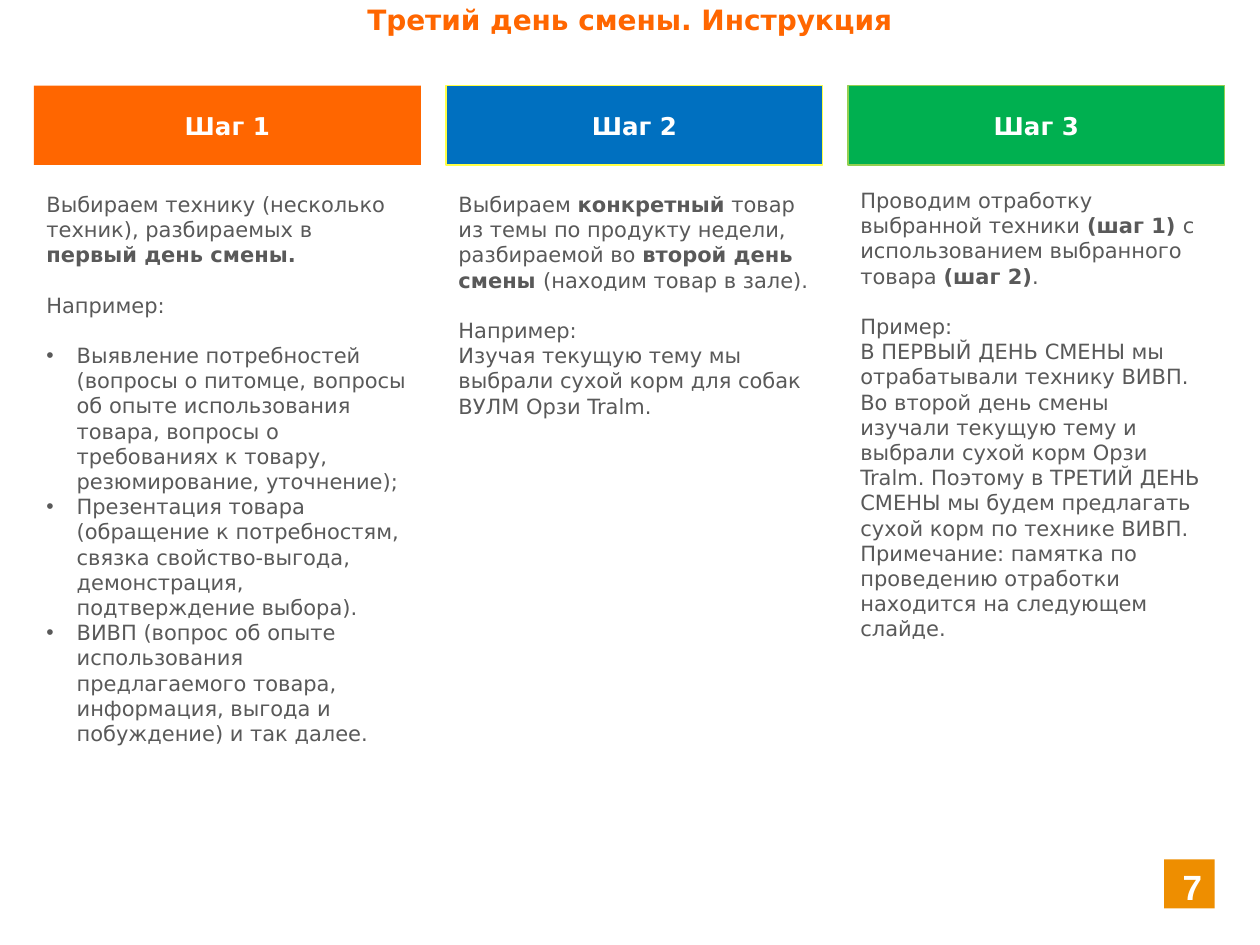
"""Build the three-step instruction slide for the third day of the shift."""
from dataclasses import dataclass

from lxml import etree
from pptx import Presentation
from pptx.dml.color import RGBColor
from pptx.enum.shapes import MSO_SHAPE
from pptx.enum.text import MSO_ANCHOR, PP_ALIGN
from pptx.oxml.ns import qn
from pptx.util import Inches, Pt

RECTANGLE = MSO_SHAPE.RECTANGLE
TOP, MIDDLE = MSO_ANCHOR.TOP, MSO_ANCHOR.MIDDLE
LEFT, CENTER, RIGHT = PP_ALIGN.LEFT, PP_ALIGN.CENTER, PP_ALIGN.RIGHT
COLORS = {
    "orange": "FF6600",
    "blue": "0070C0",
    "green": "00B050",
    "yellow": "FFFF47",
    "lime": "92D050",
    "amber": "EE8E00",
    "white": "FFFFFF",
    "gray": "595959",
}
BODY_FONT, NUMBER_FONT = "DejaVu Sans", "Arial"
HEADER_TOP, HEADER_HEIGHT = 0.68, 0.63
BULLET_INDENT = 0.24
BLANK_LINE = 14.4


@dataclass(frozen=True)
class Box:
    left: float
    top: float
    width: float
    height: float

    def inches(self) -> tuple:
        return tuple(Inches(v) for v in (self.left, self.top, self.width, self.height))


@dataclass(frozen=True)
class Style:
    size: float
    color: str
    bold: bool = True
    font: str = BODY_FONT
    align: PP_ALIGN = CENTER
    anchor: MSO_ANCHOR = TOP


@dataclass(frozen=True)
class Line:
    text: str
    gap: bool = False
    bullet: bool = False


@dataclass(frozen=True)
class Step:
    title: str
    header: Box
    fill: str
    outline: str | None
    body: Box
    lines: tuple[Line, ...]


TITLE_STYLE = Style(16, "orange")
HEADER_STYLE = Style(14, "white", anchor=MIDDLE)
BODY_STYLE = Style(12, "gray", bold=False, align=LEFT)
NUMBER_STYLE = Style(20, "white", font=NUMBER_FONT, align=RIGHT)

STEPS = (
    Step("Шаг 1", Box(0.27, HEADER_TOP, 3.07, HEADER_HEIGHT), "orange", None,
         Box(0.27, 1.47, 3.07, 4.96), (
             Line("Выбираем технику (несколько техник), разбираемых в *первый день смены.*"),
             Line("Например:", gap=True),
             Line("Выявление потребностей (вопросы о питомце, вопросы об опыте использования "
                  "товара, вопросы о требованиях к товару, резюмирование, уточнение);",
                  gap=True, bullet=True),
             Line("Презентация товара (обращение к потребностям, связка свойство-выгода, "
                  "демонстрация, подтверждение выбора).", bullet=True),
             Line("ВИВП (вопрос об опыте использования предлагаемого товара, информация, "
                  "выгода и побуждение) и так далее.", bullet=True))),
    Step("Шаг 2", Box(3.54, HEADER_TOP, 2.99, HEADER_HEIGHT), "blue", "yellow",
         Box(3.54, 1.47, 2.99, 2.99), (
             Line("Выбираем *конкретный* товар из темы по продукту недели, разбираемой во "
                  "*второй день смены *(находим товар в зале)."),
             Line("Например:", gap=True),
             Line("Изучая текущую тему мы выбрали сухой корм для собак ВУЛМ Орзи Tralm."))),
    Step("Шаг 3", Box(6.73, HEADER_TOP, 2.99, HEADER_HEIGHT), "green", "lime",
         Box(6.73, 1.44, 2.91, 4.96), (
             Line("Проводим отработку выбранной техники *(шаг 1) *с использованием "
                  "выбранного товара *(шаг 2)*."),
             Line("Пример:", gap=True),
             Line("В ПЕРВЫЙ ДЕНЬ СМЕНЫ мы отрабатывали технику ВИВП. Во второй день смены "
                  "изучали текущую тему и выбрали сухой корм Орзи Tralm. Поэтому в ТРЕТИЙ "
                  "ДЕНЬ СМЕНЫ мы будем предлагать сухой корм по технике ВИВП."),
             Line("Примечание: памятка по проведению отработки находится на следующем "
                  "слайде."))),
)


def rgb(name: str) -> RGBColor:
    return RGBColor.from_string(COLORS[name])


def add_bullet(paragraph) -> None:
    properties = paragraph._p.get_or_add_pPr()
    indent = Inches(BULLET_INDENT)
    properties.set("marL", str(indent))
    properties.set("indent", str(-indent))
    etree.SubElement(properties, qn("a:buFont")).set("typeface", NUMBER_FONT)
    etree.SubElement(properties, qn("a:buChar")).set("char", "•")


def write(frame, lines: tuple[Line, ...], style: Style) -> None:
    frame.word_wrap = True
    frame.vertical_anchor = style.anchor
    for index, line in enumerate(lines):
        paragraph = frame.add_paragraph() if index else frame.paragraphs[0]
        paragraph.alignment = style.align
        if line.gap:
            paragraph.space_before = Pt(BLANK_LINE)
        if line.bullet:
            add_bullet(paragraph)
        for part, text in enumerate(line.text.split("*")):
            if text:
                run = paragraph.add_run()
                run.text = text
                run.font.name = style.font
                run.font.size = Pt(style.size)
                run.font.bold = style.bold or part % 2 == 1
                run.font.color.rgb = rgb(style.color)


def add_text(slide, box: Box, lines: tuple[Line, ...], style: Style) -> None:
    write(slide.shapes.add_textbox(*box.inches()).text_frame, lines, style)


def add_panel(slide, box: Box, text: str, style: Style, fill: str,
              outline: str | None = None) -> None:
    panel = slide.shapes.add_shape(RECTANGLE, *box.inches())
    panel.shadow.inherit = False
    panel.fill.solid()
    panel.fill.fore_color.rgb = rgb(fill)
    if outline:
        panel.line.color.rgb = rgb(outline)
        panel.line.width = Pt(0.75)
    else:
        panel.line.fill.background()
    write(panel.text_frame, (Line(text),), style)


def main() -> None:
    deck = Presentation()
    deck.slide_width, deck.slide_height = Inches(10), Inches(7.5)
    slide = deck.slides.add_slide(deck.slide_layouts[6])
    add_text(slide, Box(0, -0.03, 10, 0.37), (Line("Третий день смены. Инструкция"),),
             TITLE_STYLE)
    for step in STEPS:
        add_panel(slide, step.header, step.title, HEADER_STYLE, step.fill, step.outline)
        add_text(slide, step.body, step.lines, BODY_STYLE)
    add_panel(slide, Box(9.24, 6.82, 0.4, 0.39), "7", NUMBER_STYLE, "amber")
    deck.save("out.pptx")


if __name__ == "__main__":
    main()
